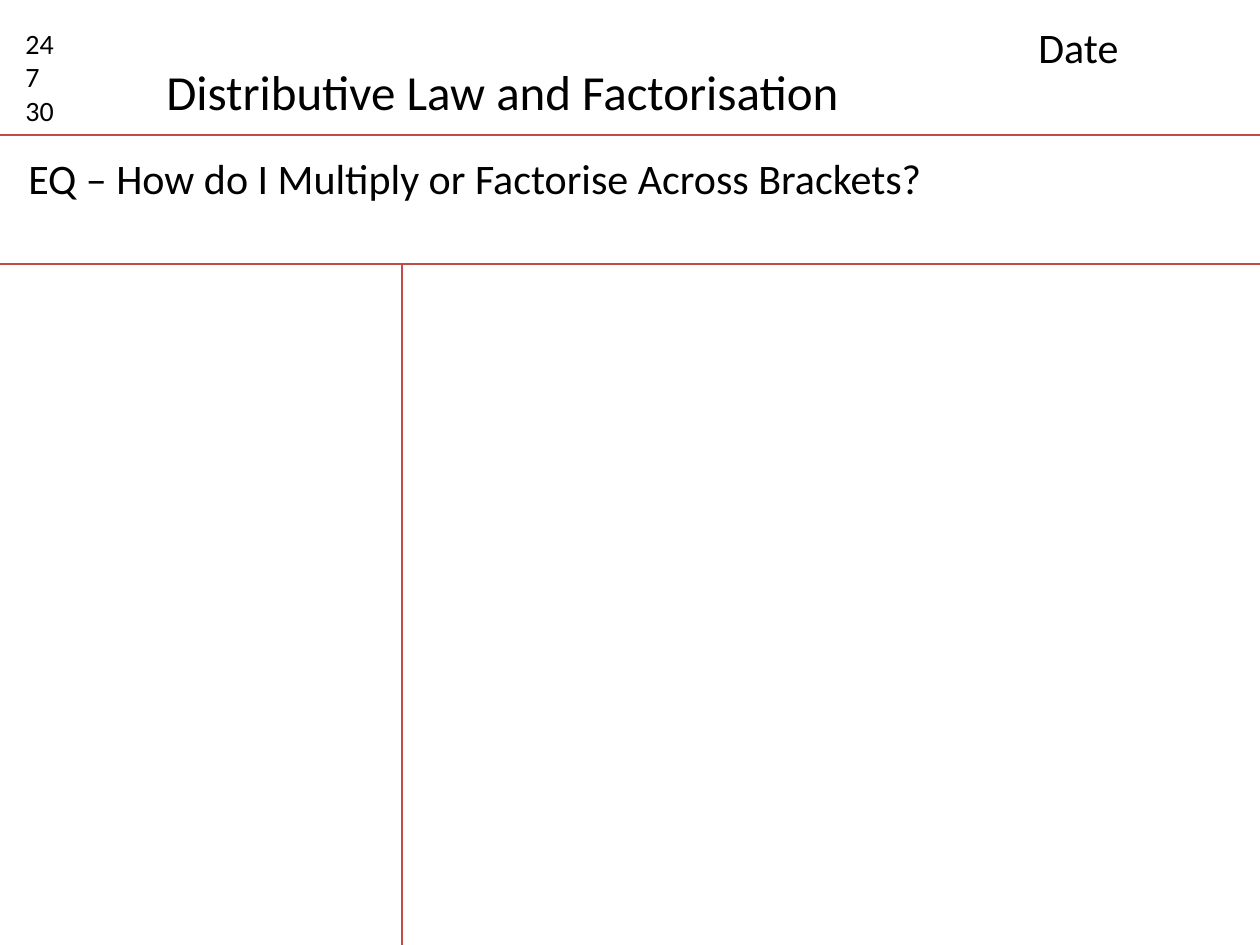
from dataclasses import dataclass

from lxml.etree import SubElement
from pptx import Presentation
from pptx.dml.color import RGBColor
from pptx.enum.shapes import MSO_CONNECTOR
from pptx.enum.text import MSO_AUTO_SIZE
from pptx.oxml.ns import qn
from pptx.util import Pt

PX = 914400 // 126
SLIDE_WIDTH, SLIDE_HEIGHT = 1260, 945


@dataclass(frozen=True)
class Theme:
    font: str = "Calibri"
    text: RGBColor = RGBColor(0x00, 0x00, 0x00)
    rule: RGBColor = RGBColor(0xBF, 0x4C, 0x48)
    rule_width: float = 0.75
    title_size: int = 28
    heading_size: int = 24
    number_size: int = 16


THEME = Theme()


def add_rule(slide, x1, y1, x2, y2):
    ends = [value * PX for value in (x1, y1, x2, y2)]
    connector = slide.shapes.add_connector(MSO_CONNECTOR.STRAIGHT, *ends)
    connector.line.color.rgb = THEME.rule
    connector.line.width = Pt(THEME.rule_width)
    SubElement(connector._element.spPr, qn("a:effectLst"))


def add_text(slide, box, lines, size, wrap=True):
    """Place one paragraph for each line in a text box."""
    shape = slide.shapes.add_textbox(*(value * PX for value in box))
    frame = shape.text_frame
    frame.word_wrap = wrap
    frame.auto_size = MSO_AUTO_SIZE.SHAPE_TO_FIT_TEXT
    for index, line in enumerate(lines):
        paragraph = frame.add_paragraph() if index else frame.paragraphs[0]
        run = paragraph.add_run()
        run.text = line
        run.font.name = THEME.font
        run.font.size = Pt(size)
        run.font.color.rgb = THEME.text


def add_header(slide, left, top, width, height):
    """Page numbers, lesson title and date above a rule."""
    bottom = top + height
    add_rule(slide, left, bottom, left + width, bottom)
    add_text(slide, (left + 13, top + 20, 79, 115), ["24", "7", "30"],
             THEME.number_size)
    add_text(slide, (left + 154, top + 55, 706, 72),
             ["Distributive Law and Factorisation"], THEME.title_size, wrap=False)
    add_text(slide, (left + width - 234, top + 15, 218, 63), ["Date"],
             THEME.heading_size)


def add_question(slide, left, top, width, height):
    """Essential question above a rule."""
    bottom = top + height
    add_rule(slide, left, bottom, left + width, bottom)
    add_text(slide, (left + 16, top + 11, width - 72, 63),
             ["EQ – How do I Multiply or Factorise Across Brackets?"],
             THEME.heading_size)


def add_notes_area(slide, left, top, height, cue_width):
    """Vertical divider between the cue column and the notes column."""
    divider = left + cue_width
    add_rule(slide, divider, top, divider, top + height)


def main():
    presentation = Presentation()
    presentation.slide_width = SLIDE_WIDTH * PX
    presentation.slide_height = SLIDE_HEIGHT * PX
    slide = presentation.slides.add_slide(presentation.slide_layouts[6])
    header_height, question_height = 135, 129
    notes_top = header_height + question_height
    add_header(slide, 0, 0, SLIDE_WIDTH, header_height)
    add_question(slide, 0, header_height, SLIDE_WIDTH, question_height)
    add_notes_area(slide, 0, notes_top, SLIDE_HEIGHT - notes_top, cue_width=402)
    presentation.save("out.pptx")


if __name__ == "__main__":
    main()
